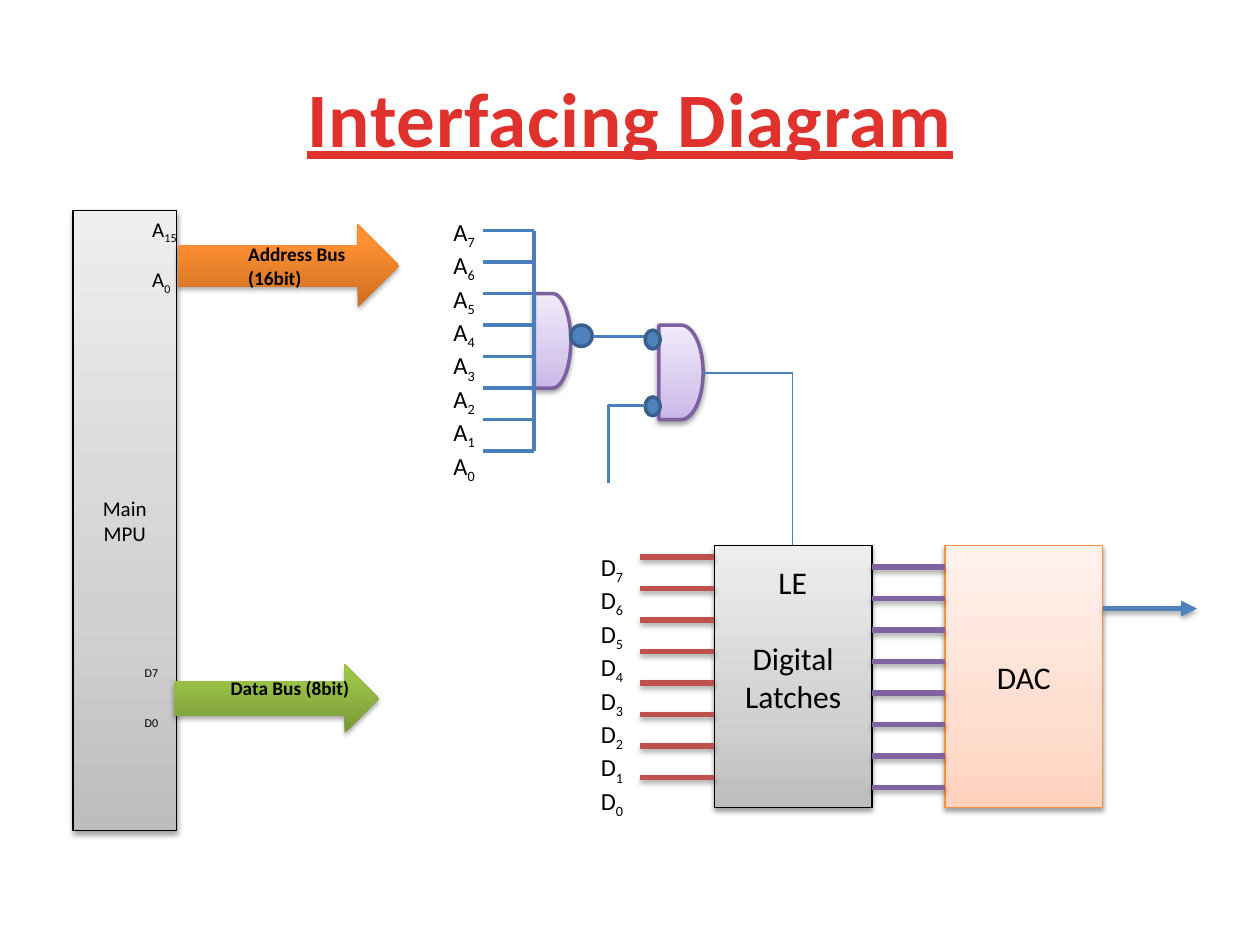
from lxml import etree
from pptx import Presentation
from pptx import util as u
from pptx.dml.color import RGBColor
from pptx.enum import shapes, text
from pptx.oxml.ns import qn

BLACK = RGBColor(0x00, 0x00, 0x00)
TITLE_RED = RGBColor(0xE0, 0x32, 0x2D)
WIRE_BLUE = RGBColor(0x4B, 0x7E, 0xBC)
BLUE = RGBColor(0x4F, 0x81, 0xBD)
DARK_BLUE = RGBColor(0x3A, 0x5F, 0x8C)
RED = RGBColor(0xC0, 0x50, 0x4D)
PURPLE = RGBColor(0x80, 0x64, 0xA2)
GATE_PURPLE = RGBColor(0x7D, 0x60, 0xA0)
ORANGE = RGBColor(0xF6, 0x92, 0x40)


def gradient(middle, *colors):
    """Pair three colours, bottom to top, with their stops in percent."""
    return list(zip((0, middle, 100), map(RGBColor.from_string, colors)))


GRAY_FILL = gradient(35, "BDBDBD", "D1D1D1", "EEEEEE")
LILAC_FILL = gradient(35, "C9B5E8", "D8CBEE", "F0EAF9")
PEACH_FILL = gradient(35, "FFD2BD", "FFDED0", "FFF2ED")
ORANGE_FILL = gradient(80, "CC6E20", "FF9034", "FF9136")
GREEN_FILL = gradient(80, "779737", "9BC348", "9DC746")

BLOCK_SHADOW = (38, 1.6)  # opacity in percent, distance in points
ARROW_SHADOW = (35, 1.8)
SHAPE = shapes.MSO_SHAPE
ALIGN = text.PP_ALIGN


def write_text(frame, content, size=12, color=BLACK, bold=False, underline=False,
               align=ALIGN.LEFT, anchor=text.MSO_ANCHOR.TOP, spacing=None):
    """Fill a text frame; what follows an underscore is set as subscript."""
    frame.word_wrap = True
    frame.vertical_anchor = anchor
    for index, line in enumerate(content.split("\n")):
        paragraph = frame.add_paragraph() if index else frame.paragraphs[0]
        paragraph.alignment = align
        for level, part in enumerate(line.split("_")):
            if not part:
                continue
            run = paragraph.add_run()
            run.text = part
            font = run.font
            font.name, font.size, font.bold = "Calibri", u.Pt(size), bold
            font.underline = underline
            font.color.rgb = color
            properties = run._r.get_or_add_rPr()
            if level:
                properties.set("baseline", "-25000")
            if spacing:
                properties.set("spc", str(int(spacing * 100)))


def add_color(parent, color, opacity=None):
    element = etree.SubElement(parent, qn("a:srgbClr"), val=str(color))
    if opacity:
        etree.SubElement(element, qn("a:alpha"), val=str(opacity * 1000))


def set_shadow(item, shadow):
    """Replace the theme effect by the given shadow, or by none."""
    effects = etree.SubElement(item._element.spPr, qn("a:effectLst"))
    if shadow:
        opacity, distance = shadow
        outer = etree.SubElement(
            effects, qn("a:outerShdw"), blurRad=str(u.Pt(3.1)),
            dist=str(u.Pt(distance)), dir="5400000", rotWithShape="0")
        add_color(outer, BLACK, opacity)


class Diagram:
    """Holds the current slide and draws each kind of element on it."""

    def __init__(self, slide):
        self.slide = slide

    def title(self, content, left, top, width, height):
        title = self.slide.shapes.title
        title.left, title.top = u.Inches(left), u.Inches(top)
        title.width, title.height = u.Inches(width), u.Inches(height)
        write_text(title.text_frame, content, size=44, color=TITLE_RED, bold=True,
                   underline=True, align=ALIGN.CENTER,
                   anchor=text.MSO_ANCHOR.MIDDLE, spacing=0.5)

    def block(self, kind, left, top, width, height, fill, line=None, weight=0.75,
              shadow=BLOCK_SHADOW):
        shape = self.slide.shapes.add_shape(
            kind, u.Inches(left), u.Inches(top), u.Inches(width), u.Inches(height))
        if isinstance(fill, RGBColor):
            shape.fill.solid()
            shape.fill.fore_color.rgb = fill
        else:
            shape.fill.gradient()
            shape.fill.gradient_angle = 90
            stops = shape._element.spPr.find(".//" + qn("a:gsLst"))
            for stop in list(stops):
                stops.remove(stop)
            for position, color in fill:
                add_color(etree.SubElement(stops, qn("a:gs"), pos=str(position * 1000)), color)
        if line is None:
            shape.line.fill.background()
        else:
            shape.line.color.rgb = line
            shape.line.width = u.Pt(weight)
        set_shadow(shape, shadow)
        return shape

    def chip(self, content, left, top, width, height, fill, line, size):
        shape = self.block(SHAPE.RECTANGLE, left, top, width, height, fill, line)
        write_text(shape.text_frame, content, size=size, align=ALIGN.CENTER,
                   anchor=text.MSO_ANCHOR.MIDDLE)

    def bus(self, content, left, top, width, height, fill, indent, lift=0):
        shape = self.block(SHAPE.RIGHT_ARROW, left, top, width, height, fill,
                           shadow=ARROW_SHADOW)
        frame = shape.text_frame
        frame.margin_left, frame.margin_right = u.Inches(indent), 0
        frame.margin_top, frame.margin_bottom = 0, u.Inches(lift)
        write_text(frame, content, size=11, bold=True, anchor=text.MSO_ANCHOR.MIDDLE)

    def gate(self, left, top, width, height):
        self.block(SHAPE.FLOWCHART_DELAY, left, top, width, height,
                   LILAC_FILL, GATE_PURPLE, 2)

    def bubble(self, left, top, width, height):
        self.block(SHAPE.FLOWCHART_CONNECTOR, left, top, width, height,
                   BLUE, DARK_BLUE, 2, shadow=None)

    def label(self, content, left, top, width, height, size=12):
        box = self.slide.shapes.add_textbox(
            u.Inches(left), u.Inches(top), u.Inches(width), u.Inches(height))
        box.text_frame.margin_right = 0
        write_text(box.text_frame, content, size=size)

    def wire(self, start, end, color=WIRE_BLUE, weight=2, shadow=None,
             bent=False, arrow=False):
        kind = shapes.MSO_CONNECTOR.ELBOW if bent else shapes.MSO_CONNECTOR.STRAIGHT
        connector = self.slide.shapes.add_connector(
            kind, *(u.Inches(value) for value in (*start, *end)))
        if bent:
            geometry = connector._element.spPr.find(qn("a:prstGeom"))
            geometry.set("prst", "bentConnector2")
        connector.line.color.rgb = color
        connector.line.width = u.Pt(weight)
        if arrow:
            etree.SubElement(connector.line._ln, qn("a:tailEnd"), type="triangle")
        set_shadow(connector, shadow)

    def comb(self, left, right, top, **style):
        """Draw eight parallel wires, a quarter inch apart."""
        for bit in range(8):
            y = top + 0.25 * bit
            self.wire((left, y), (right, y), **style)


def bit_names(letter):
    return "\n".join(f"{letter}_{bit}" for bit in range(7, -1, -1))


def main():
    presentation = Presentation()
    presentation.slide_width, presentation.slide_height = u.Inches(10), u.Inches(7.5)
    diagram = Diagram(presentation.slides.add_slide(presentation.slide_layouts[5]))
    diagram.title("Interfacing Diagram", 0.5, 0.3, 9, 1.25)

    # Processor and its buses
    diagram.chip("Main\nMPU", 0.58, 1.67, 0.82, 4.92, GRAY_FILL, BLACK, 12)
    for name, left, top in (("A_15", 1.11, 1.67), ("A_0", 1.11, 2.07),
                            ("_D0", 1.05, 5.52), ("_D7", 1.05, 5.12)):
        diagram.label(name, left, top, 0.41, 0.53)
    diagram.bus("Address Bus (16bit)", 1.41, 1.78, 1.76, 0.66, ORANGE_FILL, 0.56)
    diagram.bus("Data Bus (8bit)", 1.38, 5.27, 1.63, 0.55, GREEN_FILL, 0.45, lift=0.17)

    # Address decoder
    diagram.gate(4.24, 2.33, 0.29, 0.75)
    diagram.bubble(4.53, 2.58, 0.17, 0.17)
    diagram.wire((4.24, 1.83), (4.24, 3.58))
    diagram.comb(3.83, 4.24, 1.83)
    diagram.wire((4.71, 2.67), (5.12, 2.67))
    diagram.gate(5.23, 2.58, 0.35, 0.75)
    for top in (2.62, 3.15):
        diagram.bubble(5.12, top, 0.12, 0.15)
    diagram.wire((5.12, 3.22), (4.83, 3.83), bent=True)
    diagram.label(bit_names("A"), 3.5, 1.67, 0.42, 1.99, size=14)
    diagram.wire((5.58, 2.96), (6.29, 4.33), weight=0.75, bent=True)

    # Latches and converter
    diagram.chip("Digital\nLatches", 5.67, 4.33, 1.25, 2.08, GRAY_FILL, BLACK, 18)
    diagram.chip("DAC", 7.5, 4.33, 1.25, 2.08, PEACH_FILL, ORANGE, 18)
    diagram.comb(5.08, 5.67, 4.42, color=RED, weight=3, shadow=ARROW_SHADOW)
    diagram.comb(6.92, 7.5, 4.5, color=PURPLE, weight=3, shadow=ARROW_SHADOW)
    diagram.label("LE", 6.08, 4.42, 0.5, 0.4, size=18)
    diagram.wire((8.75, 4.83), (9.5, 4.83), color=BLUE, weight=3,
                 shadow=ARROW_SHADOW, arrow=True)
    diagram.label(bit_names("D"), 4.67, 4.33, 0.42, 1.99, size=14)

    presentation.save("out.pptx")


if __name__ == "__main__":
    main()
